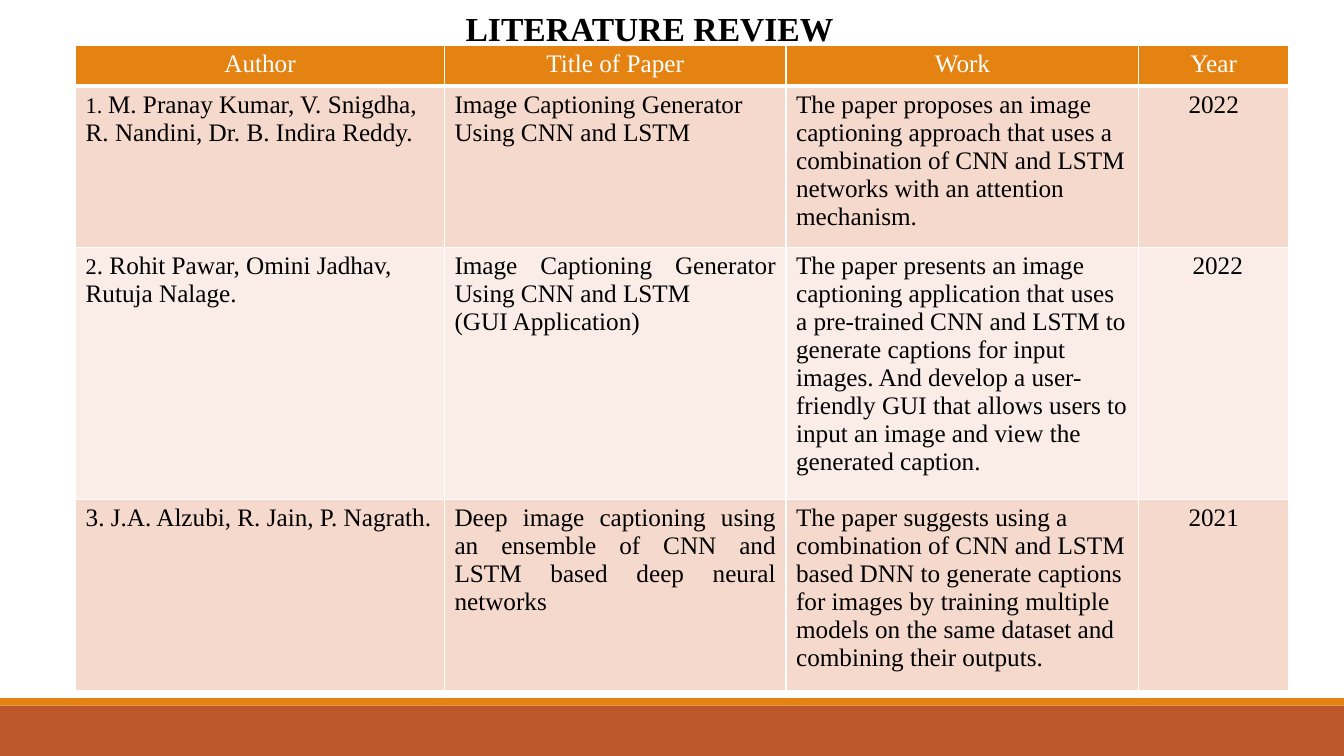
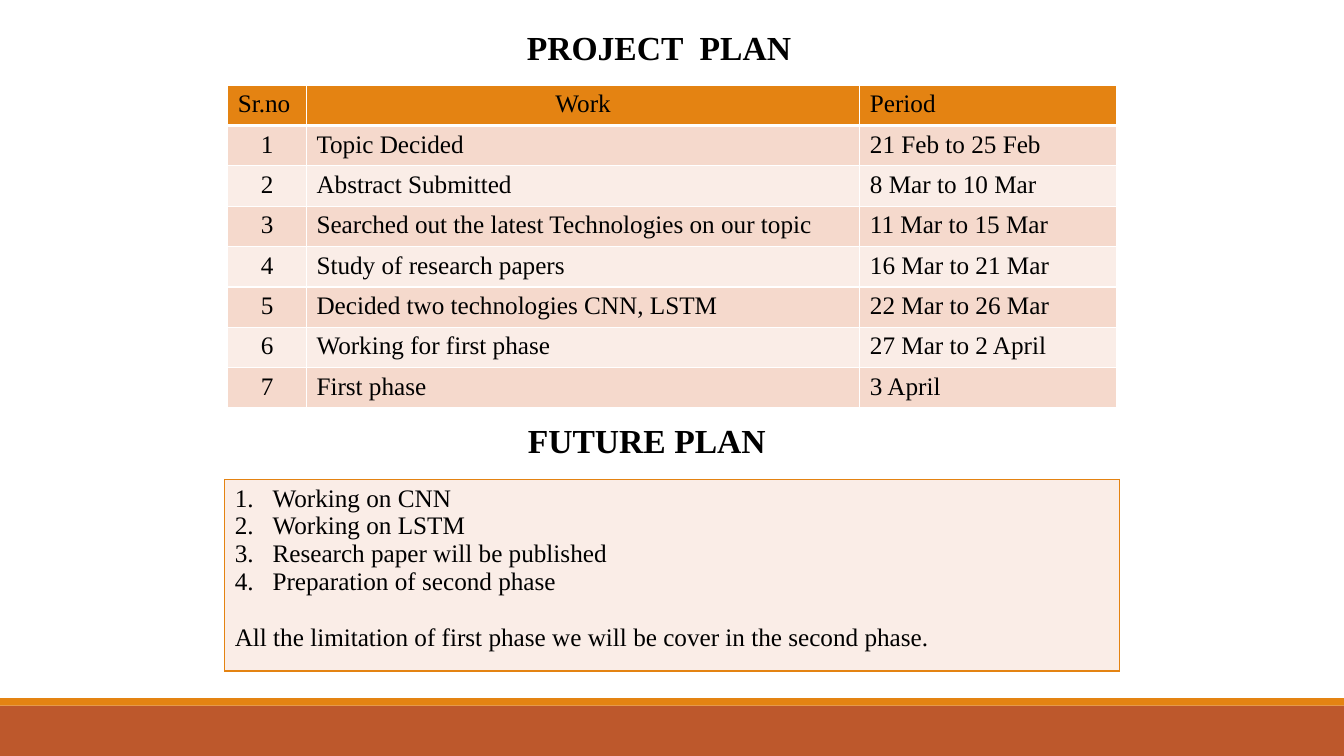
from dataclasses import dataclass

from lxml import etree
from pptx import Presentation
from pptx.dml.color import RGBColor
from pptx.enum.shapes import MSO_SHAPE
from pptx.enum.text import MSO_ANCHOR, PP_ALIGN
from pptx.oxml.ns import qn
from pptx.util import Pt

LEFT, CENTER, JUSTIFY = PP_ALIGN.LEFT, PP_ALIGN.CENTER, PP_ALIGN.JUSTIFY
TOP = MSO_ANCHOR.TOP
RECTANGLE = MSO_SHAPE.RECTANGLE


@dataclass(frozen=True)
class Theme:
    font: str = "Times New Roman"
    title_size: float = 24
    body_size: float = 18
    number_size: float = 16
    ink: str = "000000"
    paper: str = "FFFFFF"
    rust: str = "BD582C"
    orange: str = "E48312"
    bands: tuple = ("F5D9CC", "FAEDE7")
    grid: float = 1
    header_rule: float = 3


THEME = Theme()
SLIDE_W, SLIDE_H = 960, 540


@dataclass(frozen=True)
class Cell:
    """Table cell: each paragraph is a string or a list of (text, size) runs."""
    paragraphs: tuple
    align: PP_ALIGN = None
    margin_left: float = 7.2


def add_run(paragraph, text, size=THEME.body_size, color=THEME.ink, bold=False):
    run = paragraph.add_run()
    run.text = text
    run.font.name = THEME.font
    run.font.size = Pt(size)
    run.font.bold = bold
    run.font.color.rgb = RGBColor.from_string(color)


def next_paragraph(frame, index):
    return frame.add_paragraph() if index else frame.paragraphs[0]


def fill_cell(cell, fill, border, top=THEME.grid, bottom=THEME.grid):
    cell.vertical_anchor = TOP
    cell.fill.solid()
    cell.fill.fore_color.rgb = RGBColor.from_string(fill)
    # Cell borders come before the fill
    properties = cell._tc.get_or_add_tcPr()
    sides = (("a:lnL", THEME.grid), ("a:lnR", THEME.grid),
             ("a:lnT", top), ("a:lnB", bottom))
    for position, (side, width) in enumerate(sides):
        line = etree.Element(qn(side), w=str(int(Pt(width))))
        solid = etree.SubElement(line, qn("a:solidFill"))
        etree.SubElement(solid, qn("a:srgbClr"), val=border)
        properties.insert(position, line)


def number_paragraph(paragraph, indent):
    properties = paragraph._p.get_or_add_pPr()
    properties.set("marL", str(int(Pt(indent))))
    properties.set("indent", str(-int(Pt(indent))))
    etree.SubElement(properties, qn("a:buFont"), typeface="+mj-lt")
    etree.SubElement(properties, qn("a:buAutoNum"), type="arabicPeriod")


def add_grid(slide, left, top, widths, heights):
    table = slide.shapes.add_table(
        len(heights), len(widths), Pt(left), Pt(top),
        Pt(sum(widths)), Pt(sum(heights))).table
    table.first_row = table.horz_banding = False
    for column, width in zip(table.columns, widths):
        column.width = Pt(width)
    for row, height in zip(table.rows, heights):
        row.height = Pt(height)
    return table


def add_banded_table(slide, left, top, widths, heights, header, rows,
                     header_color, header_aligns, body_aligns):
    table = add_grid(slide, left, top, widths, heights)
    # Header row
    for column, (label, align) in enumerate(zip(header, header_aligns)):
        cell = table.cell(0, column)
        fill_cell(cell, THEME.orange, THEME.paper, bottom=THEME.header_rule)
        paragraph = cell.text_frame.paragraphs[0]
        paragraph.alignment = align
        add_run(paragraph, label, color=header_color)
    # Body rows in alternating tints
    for number, entries in enumerate(rows):
        rule = THEME.grid if number else THEME.header_rule
        for column, entry in enumerate(entries):
            content = entry if isinstance(entry, Cell) else Cell((entry,))
            cell = table.cell(number + 1, column)
            fill_cell(cell, THEME.bands[number % 2], THEME.paper, top=rule)
            cell.margin_left = Pt(content.margin_left)
            for index, runs in enumerate(content.paragraphs):
                paragraph = next_paragraph(cell.text_frame, index)
                paragraph.alignment = content.align or body_aligns[column]
                if isinstance(runs, str):
                    runs = [(runs, THEME.body_size)]
                for text, size in runs:
                    add_run(paragraph, text, size)


def add_title(slide, center, top, text, width=320):
    box = slide.shapes.add_textbox(
        Pt(center - width / 2), Pt(top), Pt(width), Pt(28))
    frame = box.text_frame
    frame.word_wrap = True
    frame.vertical_anchor = TOP
    frame.margin_top = frame.margin_bottom = 0
    paragraph = frame.paragraphs[0]
    paragraph.alignment = CENTER
    add_run(paragraph, text, THEME.title_size, bold=True)


def add_footer_bands(slide):
    for top, height, color in ((504, 36, THEME.rust), (498.7, 5.3, THEME.orange)):
        band = slide.shapes.add_shape(
            RECTANGLE, 0, Pt(top), Pt(SLIDE_W), Pt(height))
        band.shadow.inherit = False
        band.fill.solid()
        band.fill.fore_color.rgb = RGBColor.from_string(color)
        band.line.fill.background()


def add_plan_box(slide, left, top, width, height, steps, closing):
    cell = add_grid(slide, left, top, [width], [height]).cell(0, 0)
    fill_cell(cell, THEME.bands[1], THEME.orange)
    frame = cell.text_frame
    for index, step in enumerate(steps):
        paragraph = next_paragraph(frame, index)
        number_paragraph(paragraph, 27)
        add_run(paragraph, step)
    paragraph = frame.add_paragraph()
    paragraph.space_before = Pt(20)
    add_run(paragraph, closing)


def new_slide(deck):
    slide = deck.slides.add_slide(deck.slide_layouts[6])
    add_footer_bands(slide)
    return slide


def build_literature_review(deck):
    slide = new_slide(deck)
    add_title(slide, 464, 5.8, "LITERATURE REVIEW")
    small, body = THEME.number_size, THEME.body_size
    papers = [
        (Cell(([("1. ", small),
                ("M. Pranay Kumar, V. Snigdha, R. Nandini, Dr. B. Indira Reddy.", body)],)),
         "Image Captioning Generator Using CNN and LSTM",
         "The paper proposes an image captioning approach that uses a combination "
         "of CNN and LSTM networks with an attention mechanism.",
         "2022"),
        (Cell(([("2", small), (". Rohit Pawar, Omini Jadhav, Rutuja Nalage.", body)],)),
         Cell(("Image Captioning Generator Using CNN and LSTM",
               "(GUI Application)"), JUSTIFY),
         "The paper presents an image captioning application that uses a "
         "pre-trained CNN and LSTM to generate captions for input images. And "
         "develop a user-friendly GUI that allows users to input an image and "
         "view the generated caption.",
         Cell(("2022",), margin_left=13)),
        ("3. J.A. Alzubi, R. Jain, P. Nagrath.",
         Cell(("Deep image captioning using an ensemble of CNN and LSTM based "
               "deep neural networks",), JUSTIFY),
         "The paper suggests using a combination of CNN and LSTM based DNN to "
         "generate captions for images by training multiple models on the same "
         "dataset and combining their outputs.",
         "2021"),
    ]
    add_banded_table(
        slide, 54, 32.4, [263.5, 244, 252, 107], [29, 115, 180, 136.5],
        ("Author", "Title of Paper", "Work", "Year"), papers,
        THEME.paper, [CENTER] * 4, [LEFT, LEFT, LEFT, CENTER])


def build_project_plan(deck):
    slide = new_slide(deck)
    # Completed work
    add_title(slide, 470.7, 19.3, "PROJECT  PLAN")
    milestones = [
        ("Topic Decided", "21 Feb to 25 Feb"),
        ("Abstract Submitted", "8 Mar to 10 Mar"),
        ("Searched out the latest Technologies on our topic", "11 Mar to 15 Mar"),
        ("Study of research papers", "16 Mar to 21 Mar"),
        ("Decided two technologies CNN, LSTM", "22 Mar to 26 Mar"),
        ("Working for first phase", "27 Mar to 2 April"),
        ("First phase", "3 April"),
    ]
    rows = [(str(number), *milestone)
            for number, milestone in enumerate(milestones, 1)]
    aligns = [CENTER, LEFT, LEFT]
    add_banded_table(
        slide, 162.7, 60.8, [56.2, 395.3, 183.5], [28.8] * (len(rows) + 1),
        ("Sr.no", "Work", "Period"), rows,
        THEME.ink, [LEFT, CENTER, LEFT], aligns)
    # Work still to come
    add_title(slide, 462, 300, "FUTURE PLAN")
    add_plan_box(
        slide, 160.5, 342.5, 639.3, 136.8,
        ("Working on CNN", "Working on LSTM",
         "Research paper will be published", "Preparation of second phase"),
        "All the limitation of first phase we will be cover in the second phase.")


def main():
    deck = Presentation()
    deck.slide_width, deck.slide_height = Pt(SLIDE_W), Pt(SLIDE_H)
    build_literature_review(deck)
    build_project_plan(deck)
    deck.save("out.pptx")


if __name__ == "__main__":
    main()
